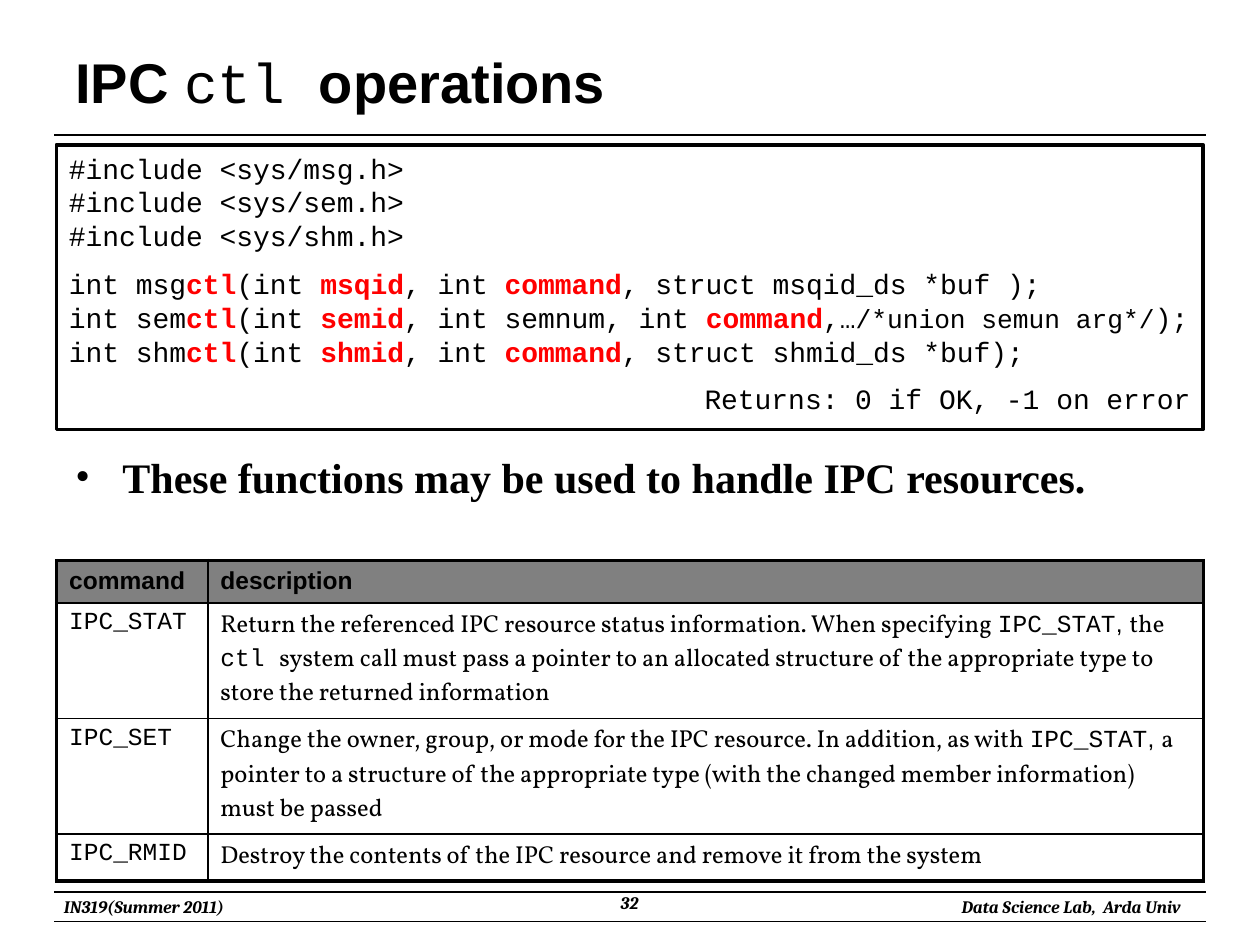
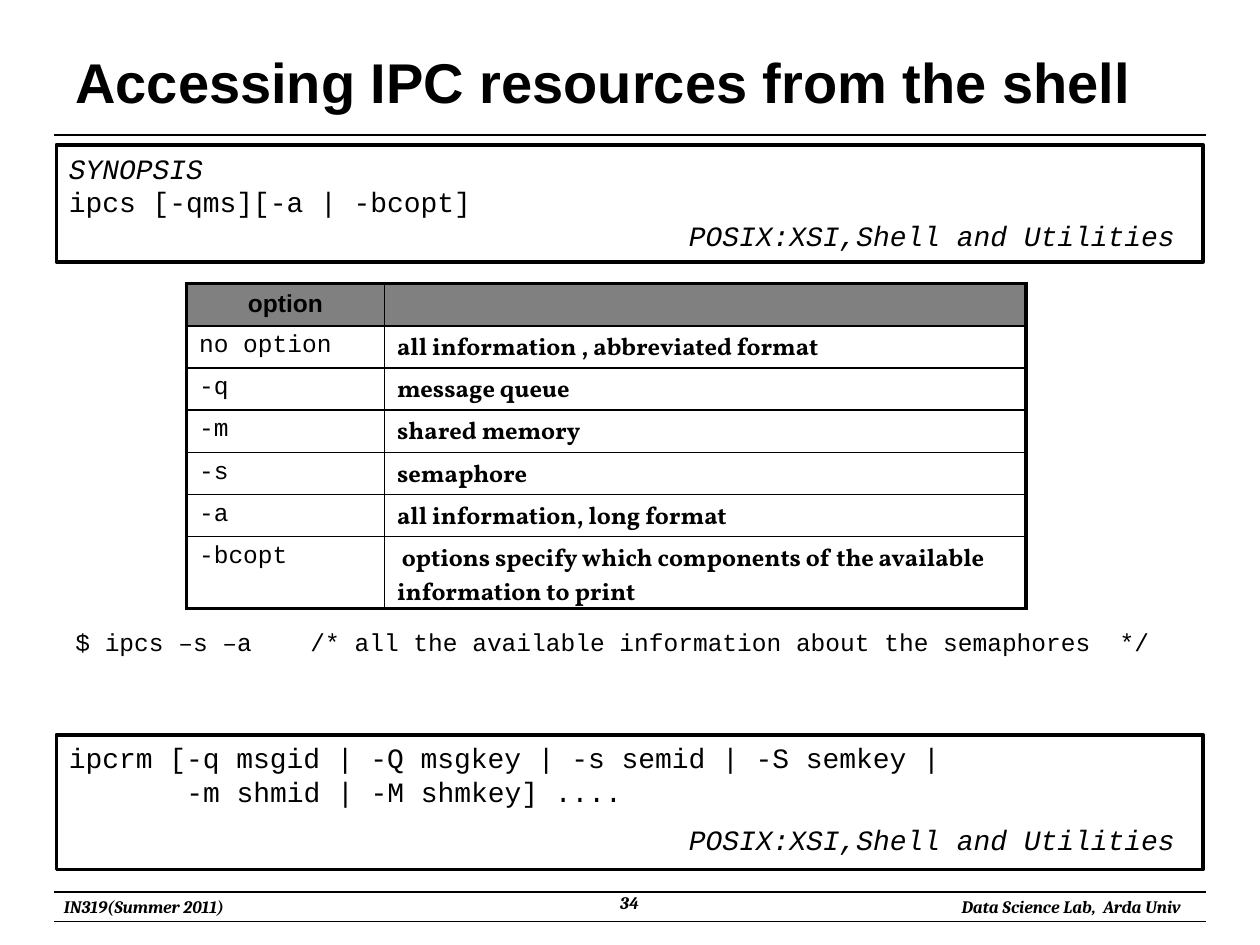
from lxml import etree
from pptx import Presentation
from pptx.dml.color import RGBColor
from pptx.enum.shapes import MSO_CONNECTOR, MSO_SHAPE
from pptx.enum.text import MSO_ANCHOR, PP_ALIGN
from pptx.oxml.ns import qn
from pptx.util import Cm, Pt

LEFT, CENTER, RIGHT = PP_ALIGN.LEFT, PP_ALIGN.CENTER, PP_ALIGN.RIGHT
TOP, MIDDLE = MSO_ANCHOR.TOP, MSO_ANCHOR.MIDDLE
RECTANGLE, STRAIGHT = MSO_SHAPE.RECTANGLE, MSO_CONNECTOR.STRAIGHT

BLACK, RED, HEADER_GREY = "000000", "FF0000", "808080"
THICK, THIN, RULE = 2.25, 1, 0.75
CODE_PITCH, CODE_GAP = 19.3, 8
BOX_LEFT, BOX_WIDTH = 1.14, 23.11
RULE_LEFT, RULE_RIGHT = 1.09, 24.31
CREDIT_INDENT = 12.5


def style(name, size, bold=False, italic=False, color=BLACK):
    return {"name": name, "size": Pt(size), "bold": bold,
            "italic": italic, "color": color}


STYLES = {
    "title": style("Arial", 32, bold=True),
    "title code": style("Courier New", 32),
    "footer": style("Cambria", 10, bold=True, italic=True),
    "bullet": style("Times New Roman", 24, bold=True),
    "code": style("Courier New", 16),
    "code red": style("Courier New", 16, bold=True, color=RED),
    "code small": style("Courier New", 15),
    "code italic": style("Courier New", 16, italic=True),
    "head": style("Arial", 14, bold=True),
    "term": style("Courier New", 14),
    "comma": style("Arial", 14),
    "prose": style("Vollkorn", 14),
    "prose bold": style("Vollkorn", 14, bold=True),
}


def rgb(hex_code):
    return RGBColor.from_string(hex_code)


# Text
def add_run(paragraph, text, style_name):
    """Add text in a named style; a newline becomes a line break."""
    for number, line in enumerate(text.split("\n")):
        if number:
            paragraph.add_line_break()
        if not line:
            continue
        run = paragraph.add_run()
        run.text = line
        for key, value in STYLES[style_name].items():
            if key == "color":
                run.font.color.rgb = rgb(value)
            else:
                setattr(run.font, key, value)


def fill_paragraph(paragraph, runs, indent=0, **formats):
    for text, style_name in runs:
        add_run(paragraph, text, style_name)
    for key, value in formats.items():
        setattr(paragraph, key, value)
    if indent:
        paragraph._p.get_or_add_pPr().set("marL", str(Cm(indent)))


def add_text(slide, left, top, width, height, runs, anchor=TOP, align=LEFT):
    box = slide.shapes.add_textbox(Cm(left), Cm(top), Cm(width), Cm(height))
    frame = box.text_frame
    frame.word_wrap = True
    frame.vertical_anchor = anchor
    paragraph = frame.paragraphs[0]
    fill_paragraph(paragraph, runs, alignment=align)
    return paragraph


def set_bullet(paragraph, indent):
    properties = paragraph._p.get_or_add_pPr()
    properties.set("marL", str(Cm(indent)))
    properties.set("indent", str(-Cm(indent)))
    etree.SubElement(properties, qn("a:buFont"), typeface="Times New Roman")
    etree.SubElement(properties, qn("a:buChar"), char="•")


def set_tab_stop(paragraph, position):
    stops = etree.SubElement(paragraph._p.get_or_add_pPr(), qn("a:tabLst"))
    etree.SubElement(stops, qn("a:tab"), pos=str(Cm(position)), algn="l")


# Lines and code boxes
def add_rule(slide, y):
    rule = slide.shapes.add_connector(
        STRAIGHT, Cm(RULE_LEFT), Cm(y), Cm(RULE_RIGHT), Cm(y))
    rule.line.color.rgb = rgb(BLACK)
    rule.line.width = Pt(RULE)
    etree.SubElement(rule._element.spPr, qn("a:effectLst"))


def add_code_box(slide, top, height, paragraphs):
    """Each paragraph is (runs, space before, further formats)."""
    box = slide.shapes.add_shape(
        RECTANGLE, Cm(BOX_LEFT), Cm(top), Cm(BOX_WIDTH), Cm(height))
    box.shadow.inherit = False
    box.fill.background()
    box.line.color.rgb = rgb(BLACK)
    box.line.width = Pt(THICK)
    frame = box.text_frame
    frame.word_wrap = True
    frame.vertical_anchor = TOP
    for number, (runs, gap, formats) in enumerate(paragraphs):
        paragraph = frame.add_paragraph() if number else frame.paragraphs[0]
        layout = {"alignment": LEFT, "space_before": Pt(gap),
                  "line_spacing": Pt(CODE_PITCH), **formats}
        fill_paragraph(paragraph, runs, **layout)


# Tables
def set_borders(cell, widths):
    properties = cell._tc.get_or_add_tcPr()
    for side, width in widths.items():
        border = etree.SubElement(properties, qn("a:ln" + side), w=str(Pt(width)))
        paint = etree.SubElement(border, qn("a:solidFill"))
        etree.SubElement(paint, qn("a:srgbClr"), val=BLACK)


def add_table(slide, left, top, columns, heights, rows, head_align=LEFT,
              bottom_margin=0.13):
    table = slide.shapes.add_table(
        len(rows), len(columns), Cm(left), Cm(top),
        Cm(sum(columns)), Cm(sum(heights))).table
    table.first_row = table.horz_banding = False
    for column, width in zip(table.columns, columns):
        column.width = Cm(width)
    for row, height in zip(table.rows, heights):
        row.height = Cm(height)
    last_row, last_column = len(rows) - 1, len(columns) - 1
    for r, row in enumerate(rows):
        for c, runs in enumerate(row):
            cell = table.cell(r, c)
            cell.margin_bottom = Cm(bottom_margin)
            set_borders(cell, {
                "L": THIN if c else THICK,
                "R": THICK if c == last_column else THIN,
                "T": THIN if r else THICK,
                "B": THICK if r == last_row else THIN})
            if r:
                cell.fill.background()
            else:
                cell.fill.solid()
                cell.fill.fore_color.rgb = rgb(HEADER_GREY)
            paragraph = cell.text_frame.paragraphs[0]
            fill_paragraph(paragraph, runs, alignment=LEFT if r else head_align)
            if not runs:
                etree.SubElement(paragraph._p, qn("a:endParaRPr"), sz="1400")


# Shared frame of every slide
def add_framed_slide(deck, title, page):
    slide = deck.slides.add_slide(deck.slide_layouts[6])
    for y in (2.72, 17.98, 18.57):
        add_rule(slide, y)
    add_text(slide, 1.27, 0.76, 22.86, 1.75, title, MIDDLE)
    footers = (
        ("IN319(Summer 2011)", 1.04, 17.93, 6, 0.69, MIDDLE, LEFT),
        (page, 9.73, 17.86, 5.92, 0.79, TOP, CENTER),
        ("Data Science Lab,  Arda Univ", 16.05, 17.93, 8, 0.69, MIDDLE, RIGHT))
    for text, left, top, width, height, anchor, align in footers:
        add_text(slide, left, top, width, height, [(text, "footer")],
                 anchor, align)
    return slide


def build_ctl_slide(deck):
    slide = add_framed_slide(deck, [
        ("IPC ", "title"), ("ctl ", "title code"), ("operations", "title")], "32")

    # Synopsis
    includes = "\n".join(f"#include <sys/{name}.h>" for name in ("msg", "sem", "shm"))
    prototypes = []
    for prefix, identifier, middle, tail in (
            ("int msg", "msqid", ", int ", [(", struct msqid_ds *buf );\n", "code")]),
            ("int sem", "semid", ", int semnum, int ",
             [(",", "code"), ("…/*union semun arg*/", "code small"), (");\n", "code")]),
            ("int shm", "shmid", ", int ", [(", struct shmid_ds *buf);", "code")])):
        prototypes += [(prefix, "code"), ("ctl", "code red"), ("(int ", "code"),
                       (identifier, "code red"), (middle, "code"),
                       ("command", "code red"), *tail]
    add_code_box(slide, 2.92, 5.74, [
        ([(includes, "code")], 0, {}),
        (prototypes, CODE_GAP, {}),
        ([("Returns: 0 if OK, -1 on error", "code")], CODE_GAP,
         {"alignment": RIGHT})])

    # Statement
    statement = add_text(slide, 1.27, 8.97, 23.55, 1.3, [
        ("These functions may be used to handle IPC resources.", "bullet")])
    set_bullet(statement, 0.95)

    # Commands
    stat_mention = [("IPC_STAT", "term"), (", ", "comma")]
    commands = [
        ("IPC_STAT", [
            ("Return the referenced IPC resource status information. "
             "When specifying ", "prose"), *stat_mention,
            ("the ", "prose"), ("ctl ", "term"),
            ("system call must pass a pointer to an allocated structure of the "
             "appropriate type to store the returned information", "prose")]),
        ("IPC_SET", [
            ("Change the owner, group, or mode for the IPC resource. "
             "In addition, as with ", "prose"), *stat_mention,
            ("a pointer to a structure of the appropriate type (with the "
             "changed member information) must be passed", "prose")]),
        ("IPC_RMID", [
            ("Destroy the contents of the IPC resource and remove it from "
             "the system", "prose")])]
    rows = [[[("command", "head")], [("description", "head")]]]
    rows += [[[(command, "term")], description] for command, description in commands]
    add_table(slide, BOX_LEFT, 11.3, (3.05, 20.07), (0.81, 2.33, 2.33, 0.95), rows)


def build_shell_slide(deck):
    slide = add_framed_slide(
        deck, [("Accessing IPC resources from the shell", "title")], "34")
    credit = [("POSIX:XSI,Shell and Utilities", "code italic")]

    # ipcs synopsis
    add_code_box(slide, 2.92, 2.36, [
        ([("SYNOPSIS\n", "code italic"), ("ipcs [-qms][-a | -bcopt]", "code")], 0, {}),
        (credit, 0, {"indent": CREDIT_INDENT})])

    # Options
    options = (
        ("no option", "all information , abbreviated format"),
        ("-q", "message queue"),
        ("-m", "shared memory"),
        ("-s", "semaphore"),
        ("-a", "all information, long format"),
        ("-bcopt", " options specify which components of the available "
                   "information to print"))
    rows = [[[("option", "head")], []]]
    rows += [[[(option, "term")], [(meaning, "prose bold")]]
             for option, meaning in options]
    add_table(slide, 3.76, 5.72, (3.99, 12.93), [0.85] * 6 + [1.45], rows,
              head_align=CENTER, bottom_margin=0)

    # Example command
    example = add_text(slide, 1.27, 12.52, 22.86, 0.9, [
        ("$ ipcs –s –a\t/* all the available information about the "
         "semaphores  */", "term")])
    set_tab_stop(example, 4.74)

    # ipcrm synopsis
    add_code_box(slide, 14.81, 2.72, [
        ([("ipcrm [-q msgid | -Q msgkey | -s semid | -S semkey |", "code")], 0, {}),
        ([("-m shmid | -M shmkey] ....", "code")], 0, {"indent": 2.37}),
        (credit, CODE_GAP, {"indent": CREDIT_INDENT})])


def main():
    deck = Presentation()
    deck.slide_width, deck.slide_height = Cm(25.4), Cm(19.05)
    build_ctl_slide(deck)
    build_shell_slide(deck)
    deck.save("out.pptx")


main()
